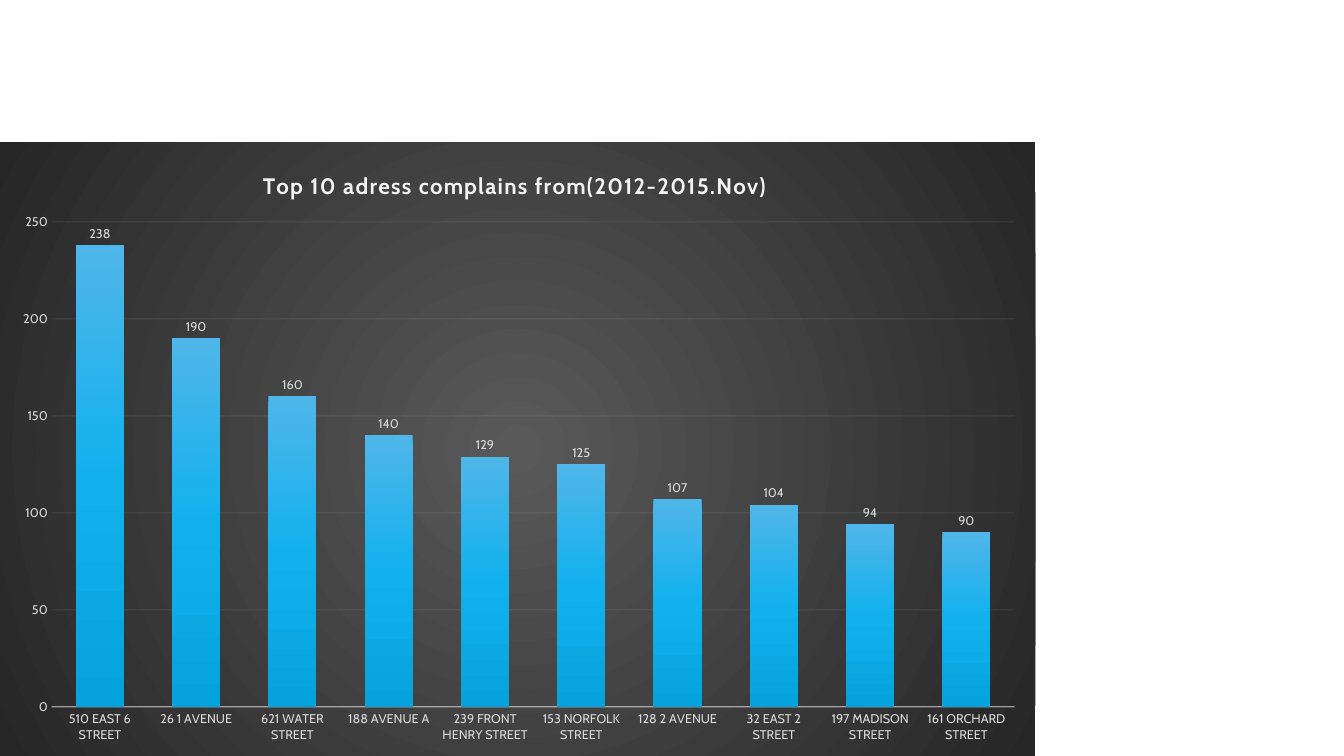
from dataclasses import dataclass

from lxml import etree
from pptx import Presentation
from pptx.chart.data import CategoryChartData
from pptx.dml.color import RGBColor
from pptx.enum.chart import XL_CHART_TYPE as ChartType
from pptx.enum.chart import XL_LABEL_POSITION as LabelPosition
from pptx.enum.chart import XL_TICK_MARK as TickMark
from pptx.oxml import parse_xml
from pptx.oxml.ns import nsdecls, qn
from pptx.util import Pt

FONT = "Cabin"
LABEL_GREY = "D9D9D9"
PALE = "F2F2F2"


@dataclass
class Address:
    name: str
    complaints: int


ADDRESSES = [
    Address("510 EAST 6 STREET", 238),
    Address("26 1 AVENUE", 190),
    Address("621 WATER STREET", 160),
    Address("188 AVENUE A", 140),
    Address("239 FRONT HENRY STREET", 129),
    Address("153 NORFOLK STREET", 125),
    Address("128 2 AVENUE", 107),
    Address("32 EAST 2 STREET", 104),
    Address("197 MADISON STREET", 94),
    Address("161 ORCHARD STREET", 90),
]


def color(value: str) -> RGBColor:
    return RGBColor.from_string(value)


def style_font(font, size: float, shade: str, bold: bool = False) -> None:
    font.name = FONT
    font.size = Pt(size)
    font.bold = bold
    font.color.rgb = color(shade)


def write(para, text: str, *, size: float, shade: str, bold: bool, spacing: float) -> None:
    span = para.add_run()
    span.text = text
    style_font(span.font, size, shade, bold)
    span._r.get_or_add_rPr().set("spc", str(round(spacing * 100)))


def style_line(line, shade: str, width: float) -> None:
    line.color.rgb = color(shade)
    line.width = Pt(width)


def set_opacity(element, route: str, percent: int) -> None:
    for tint in element.findall(route):
        etree.SubElement(tint, qn("a:alpha")).set("val", str(percent * 1000))


def gradient(stops: dict[int, str], direction: str) -> str:
    marks = "".join(
        f'<a:gs pos="{place * 1000}"><a:srgbClr val="{shade}"/></a:gs>'
        for place, shade in stops.items()
    )
    return f'<a:gradFill {nsdecls("a")} rotWithShape="1"><a:gsLst>{marks}</a:gsLst>{direction}</a:gradFill>'


def place_part(owner, x: float, y: float, size: tuple[float, float] | None = None) -> etree._Element:
    values = {"x": x, "y": y}
    target = ""
    if size:
        values |= {"w": size[0], "h": size[1]}
        target = '<c:layoutTarget val="inner"/>'
    modes = '<c:xMode val="edge"/><c:yMode val="edge"/>'
    numbers = "".join(f'<c:{key} val="{value}"/>' for key, value in values.items())
    layout = parse_xml(
        f'<c:layout {nsdecls("c")}><c:manualLayout>{target}{modes}{numbers}</c:manualLayout></c:layout>'
    )
    for old in owner.findall(qn("c:layout")):
        owner.remove(old)
    text = owner.find(qn("c:tx"))
    if text is None:
        owner.insert(0, layout)
    else:
        text.addnext(layout)
    return layout


def style_axis(axis) -> None:
    axis.major_tick_mark = TickMark.NONE
    axis.minor_tick_mark = TickMark.NONE
    style_font(axis.tick_labels.font, 9, LABEL_GREY)


def style_axes(chart) -> None:
    streets, counts = chart.category_axis, chart.value_axis
    style_axis(streets)
    style_axis(counts)
    style_line(streets.format.line, PALE, 1)
    set_opacity(streets._element, f"{qn('c:spPr')}//{qn('a:srgbClr')}", 54)
    counts.minimum_scale, counts.maximum_scale, counts.major_unit = 0, 250, 50
    counts.format.line.fill.background()
    style_line(counts.major_gridlines.format.line, PALE, 0.75)
    set_opacity(counts._element, f"{qn('c:majorGridlines')}//{qn('a:srgbClr')}", 10)


def style_columns(plot) -> None:
    plot.gap_width = 100
    plot.overlap = -24
    plot.vary_by_categories = False
    series = plot.series[0]
    series.invert_if_negative = False
    series.format.fill.background()
    shape = series._element.find(qn("c:spPr"))
    blues = gradient({0: "4FB6E9", 50: "12B1EE", 100: "06A2DD"}, '<a:lin ang="5400000" scaled="0"/>')
    shape.replace(shape.find(qn("a:noFill")), parse_xml(blues))
    labels = series.data_labels
    labels.show_value = True
    labels.position = LabelPosition.OUTSIDE_END
    style_font(labels.font, 9, LABEL_GREY)


def style_background(chart) -> None:
    center = '<a:path path="circle"><a:fillToRect l="50000" t="50000" r="50000" b="50000"/></a:path>'
    greys = gradient({0: "595959", 100: "262626"}, center)
    shape = parse_xml(f'<c:spPr {nsdecls("c", "a")}>{greys}<a:ln><a:noFill/></a:ln></c:spPr>')
    chart.element.find(qn("c:chart")).addnext(shape)


def add_complaint_chart(page) -> None:
    data = CategoryChartData()
    data.categories = [address.name for address in ADDRESSES]
    data.add_series("Series 1", [address.complaints for address in ADDRESSES])
    chart = page.shapes.add_chart(
        ChartType.COLUMN_CLUSTERED, Pt(0), Pt(101.5), Pt(739.5), Pt(438.5), data
    ).chart
    style_font(chart.font, 10, "000000")
    chart.has_legend = False
    chart.has_title = True
    title = chart.chart_title
    title.include_in_layout = False
    write(
        title.text_frame.paragraphs[0],
        "Top 10 adress complains from(2012-2015.Nov)",
        size=16, shade=PALE, bold=True, spacing=1,
    )
    place_part(title._element, 0.25, 0.04)
    place_part(chart.element.find(f".//{qn('c:plotArea')}"), 0.05, 0.13, (0.93, 0.79))
    style_axes(chart)
    style_columns(chart.plots[0])
    style_background(chart)


def main() -> None:
    deck = Presentation()
    deck.slide_width, deck.slide_height = Pt(960), Pt(540)
    page = deck.slides.add_slide(deck.slide_layouts[6])
    add_complaint_chart(page)
    deck.save("out.pptx")


if __name__ == "__main__":
    main()
